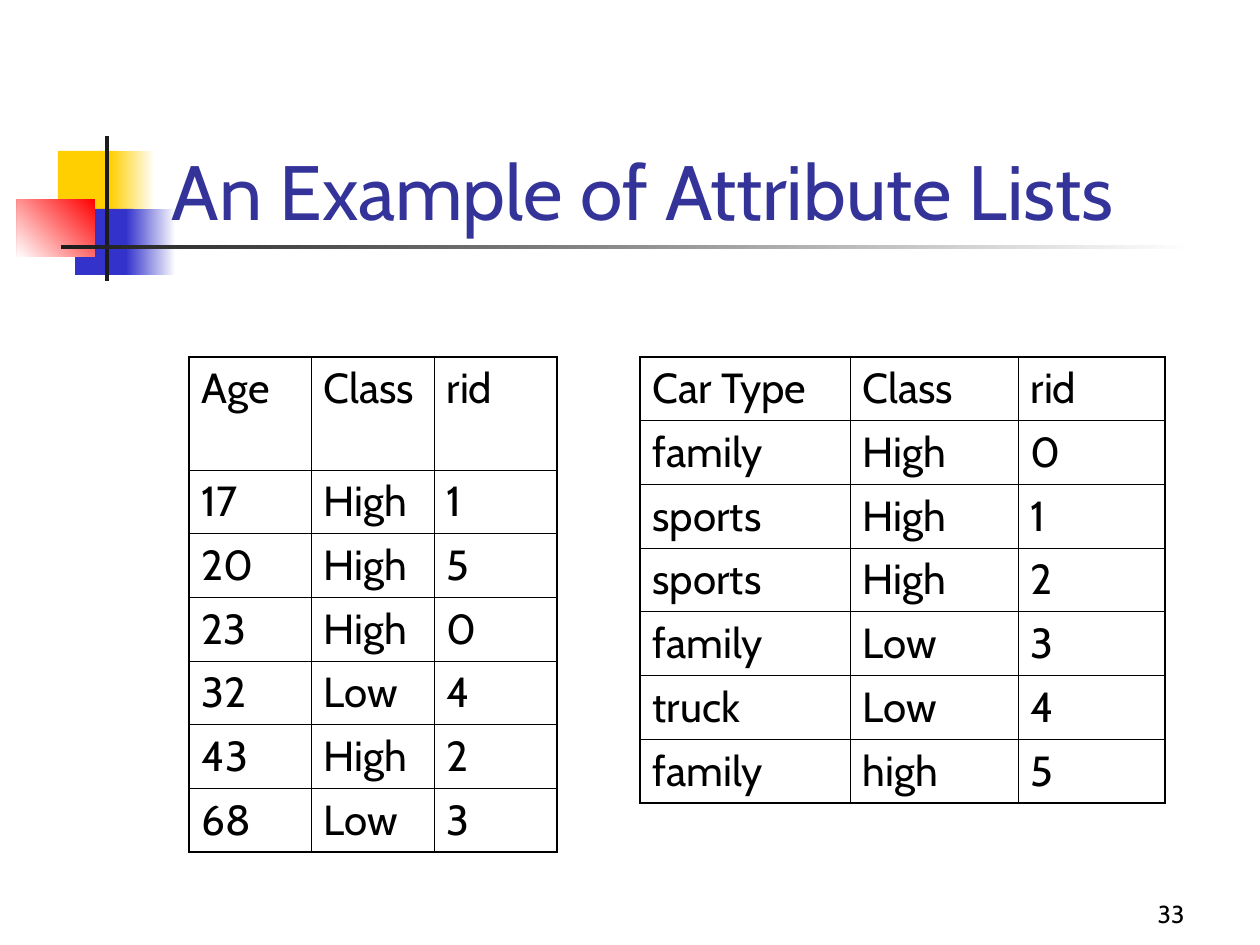
from lxml import etree
from pptx import Presentation
from pptx.dml.color import RGBColor
from pptx.enum.shapes import MSO_SHAPE
from pptx.enum.text import MSO_ANCHOR, PP_ALIGN
from pptx.oxml.ns import qn
from pptx.util import Emu, Pt

RECTANGLE = MSO_SHAPE.RECTANGLE
BOTTOM = MSO_ANCHOR.BOTTOM
LEFT, RIGHT = PP_ALIGN.LEFT, PP_ALIGN.RIGHT


class Theme:
    font = "Cabin"
    title_size, cell_size, number_size = 44, 24, 14
    title, text, border = "333399", "000000", "000000"
    yellow, blue, red = "FFCF01", "3333CC", "FF0000"
    dark, white = "1C1C1C", "FFFFFF"
    outer_line, inner_line = 1.08, 0.45


TITLE = "An Example of Attribute Lists"
TITLE_BOX = (159, 84, 1074, 158)
PAGE_NUMBER = "33"
PAGE_NUMBER_BOX = (935, 872, 262, 63)

ORNAMENTS = [
    ((58, 151, 60, 66), (Theme.yellow,), 0),
    ((110, 151, 45, 66), (Theme.white, Theme.yellow), 180),
    ((75, 209, 58, 66), (Theme.blue,), 0),
    ((126, 209, 50, 66), (Theme.white, Theme.blue), 180),
    ((17, 199, 78, 58), (Theme.red, Theme.white), 225),
    ((105, 136, 4, 145), (Theme.dark,), 0),
    ((61, 245, 1134, 4), (Theme.white, Theme.dark), 180),
]

TABLES_TOP, ROW_HEIGHT = 357, 63
ATTRIBUTE_LISTS = [
    {
        "left": 189,
        "columns": (122, 123, 123),
        "header_height": 113,
        "rows": [
            ("Age", "Class", "rid"),
            ("17", "High", "1"),
            ("20", "High", "5"),
            ("23", "High", "0"),
            ("32", "Low", "4"),
            ("43", "High", "2"),
            ("68", "Low", "3"),
        ],
    },
    {
        "left": 640,
        "columns": (210, 168, 147),
        "header_height": ROW_HEIGHT,
        "rows": [
            ("Car Type", "Class", "rid"),
            ("family", "High", "0"),
            ("sports", "High", "1"),
            ("sports", "High", "2"),
            ("family", "Low", "3"),
            ("truck", "Low", "4"),
            ("family", "high", "5"),
        ],
    },
]


def px(length):
    return Emu(round(length * 914400 / 126))


def box(lengths):
    return [px(length) for length in lengths]


def write(frame, text, size, color, align=LEFT):
    frame.word_wrap = True
    paragraph = frame.paragraphs[0]
    paragraph.alignment = align
    run = paragraph.add_run()
    run.text = text
    run.font.name = Theme.font
    run.font.size = Pt(size)
    run.font.color.rgb = RGBColor.from_string(color)


def add_ornament(slide, place, colors, angle):
    ornament = slide.shapes.add_shape(RECTANGLE, *box(place))
    ornament.shadow.inherit = False
    ornament.line.fill.background()
    if len(colors) == 1:
        ornament.fill.solid()
        ornament.fill.fore_color.rgb = RGBColor.from_string(colors[0])
    else:
        ornament.fill.gradient()
        ornament.fill.gradient_angle = angle
        for stop, color in zip(ornament.fill.gradient_stops, colors):
            stop.color.rgb = RGBColor.from_string(color)
    slide.shapes.title.element.addprevious(ornament.element)


def set_borders(cell, outer_sides):
    properties = cell._tc.get_or_add_tcPr()
    for index, (side, outer) in enumerate(zip("LRTB", outer_sides)):
        width = Theme.outer_line if outer else Theme.inner_line
        line = etree.Element(qn(f"a:ln{side}"), w=str(Pt(width)))
        fill = etree.SubElement(line, qn("a:solidFill"))
        etree.SubElement(fill, qn("a:srgbClr"), val=Theme.border)
        properties.insert(index, line)


def add_attribute_list(slide, left, columns, header_height, rows):
    heights = [header_height] + [ROW_HEIGHT] * (len(rows) - 1)
    place = box((left, TABLES_TOP, sum(columns), sum(heights)))
    table = slide.shapes.add_table(len(rows), len(columns), *place).table
    table.first_row = table.horz_banding = False
    for column, width in zip(table.columns, columns):
        column.width = px(width)
    for r, (height, values) in enumerate(zip(heights, rows)):
        table.rows[r].height = px(height)
        for c, value in enumerate(values):
            cell = table.cell(r, c)
            cell.fill.background()
            write(cell.text_frame, value, Theme.cell_size, Theme.text)
            set_borders(cell, (c == 0, c == len(columns) - 1,
                               r == 0, r == len(rows) - 1))


def main():
    deck = Presentation()
    deck.slide_width, deck.slide_height = box((1260, 945))
    slide = deck.slides.add_slide(deck.slide_layouts[5])

    title = slide.shapes.title
    title.left, title.top, title.width, title.height = box(TITLE_BOX)
    title.text_frame.vertical_anchor = BOTTOM
    write(title.text_frame, TITLE, Theme.title_size, Theme.title)

    for ornament in ORNAMENTS:
        add_ornament(slide, *ornament)
    for attribute_list in ATTRIBUTE_LISTS:
        add_attribute_list(slide, **attribute_list)

    page_number = slide.shapes.add_textbox(*box(PAGE_NUMBER_BOX)).text_frame
    page_number.vertical_anchor = BOTTOM
    write(page_number, PAGE_NUMBER, Theme.number_size, Theme.text, RIGHT)

    deck.save("out.pptx")


if __name__ == "__main__":
    main()
